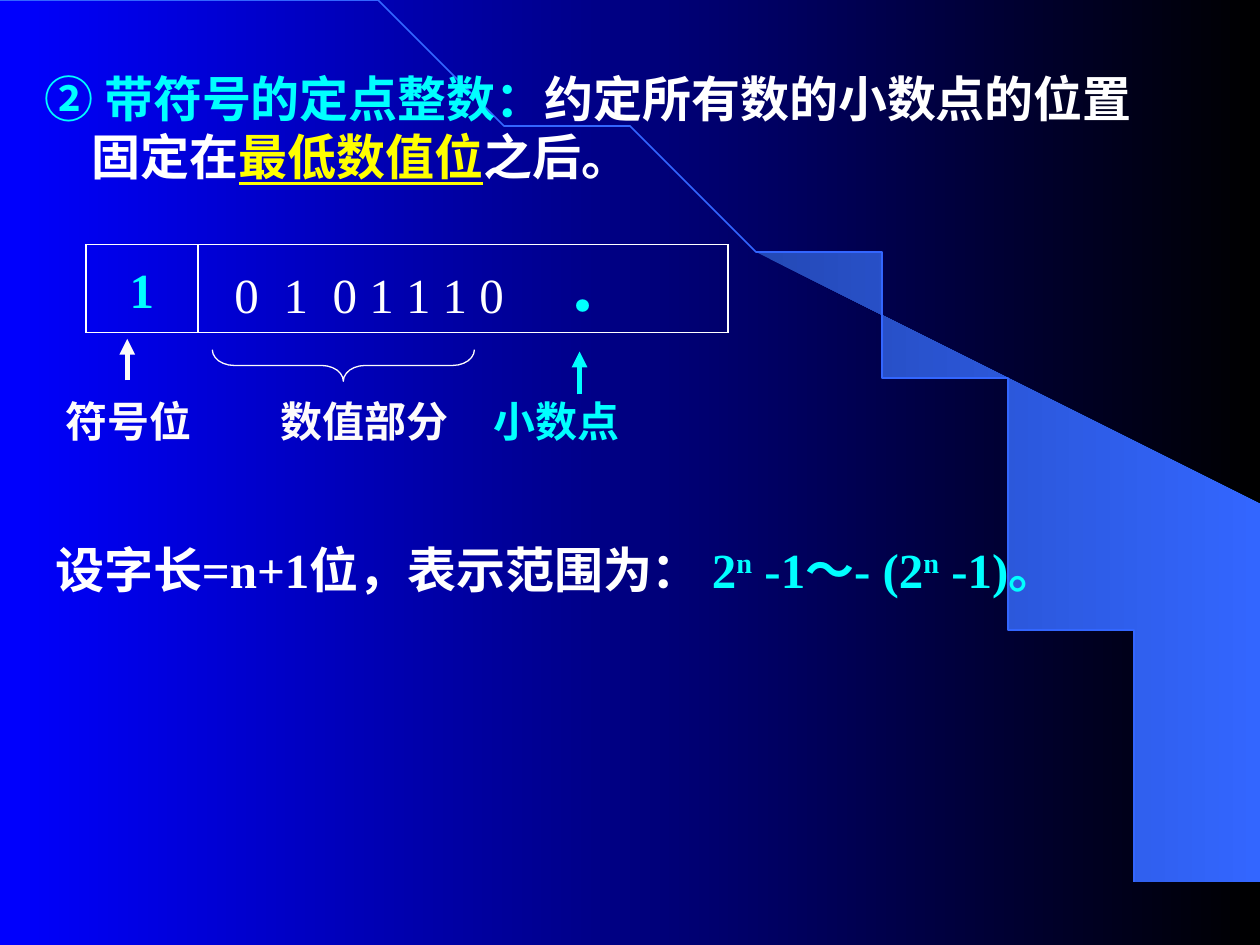
from dataclasses import dataclass
from math import asin, cos, pi, sin

from lxml.etree import SubElement
from pptx import Presentation
from pptx.dml.color import RGBColor
from pptx.enum.shapes import MSO_CONNECTOR, MSO_SHAPE
from pptx.enum.text import MSO_ANCHOR as Anchor, MSO_AUTO_SIZE, PP_ALIGN as Align
from pptx.oxml.ns import qn
from pptx.util import Inches, Pt

COLORS = {
    "blue": "0000FF", "black": "000000", "deep": "2449B6", "arc": "3366FF",
    "white": "FFFFFF", "soft": "FDFBFB", "cyan": "00FFFF", "yellow": "FFFF00",
}
FONT = "Times New Roman"
ARC_WIDTH, ARC_HEIGHT = 9.2, 7.49
SIGN_LEFT, VALUE_LEFT, REGISTER_RIGHT = 0.68, 1.57, 5.78
REGISTER_TOP, REGISTER_BOTTOM = 1.94, 2.64


@dataclass
class Span:
    text: str
    color: str
    size: float = 28
    bold: bool = True
    underline: bool = False
    baseline: int = 0


@dataclass
class Caption:
    box: tuple
    spans: list
    align: Align = Align.CENTER
    anchor: Anchor = Anchor.TOP
    inset: tuple = (0, 0.01)
    tabs: tuple = ()


@dataclass
class Line:
    start: tuple
    end: tuple
    color: str = "white"
    width: float = 1
    arrow: bool = False


def rgb(name: str) -> RGBColor:
    return RGBColor.from_string(COLORS[name])


def set_format(target, values: dict) -> None:
    for name, value in values.items():
        setattr(target, name, value)


def fill_gradient(fill, names: tuple) -> None:
    fill.gradient()
    fill.gradient_angle = 0
    for stop, name, position in zip(fill.gradient_stops, names, (0, 1)):
        stop.color.rgb = rgb(name)
        stop.position = position


def arc_points(start: float, steps: int) -> list:
    angles = [start + (pi / 2 - start) * i / steps for i in range(steps + 1)]
    return [(ARC_WIDTH * sin(a), ARC_HEIGHT * (1 - cos(a))) for a in angles]


def draw_outline(slide, points: list, close: bool):
    builder = slide.shapes.build_freeform(*points[0], scale=Inches(1))
    builder.add_line_segments(points[1:], close=close)
    outline = builder.convert_to_shape()
    outline.shadow.inherit = False
    return outline


def write_spans(paragraph, spans: list) -> None:
    for span in spans:
        run = paragraph.add_run()
        run.text = span.text
        set_format(run.font, {"name": FONT, "size": Pt(span.size),
                              "bold": span.bold, "underline": span.underline})
        run.font.color.rgb = rgb(span.color)
        if span.baseline:
            run._r.get_or_add_rPr().set("baseline", str(span.baseline * 1000))


def draw_caption(slide, caption: Caption) -> None:
    frame = slide.shapes.add_textbox(*map(Inches, caption.box)).text_frame
    side, edge = map(Inches, caption.inset)
    set_format(frame, {"word_wrap": True, "vertical_anchor": caption.anchor,
                       "margin_left": side, "margin_right": side,
                       "margin_top": edge, "margin_bottom": edge})
    paragraph = frame.paragraphs[0]
    paragraph.alignment = caption.align
    if caption.tabs:
        tab_list = SubElement(paragraph._p.get_or_add_pPr(), qn("a:tabLst"))
        for position in caption.tabs:
            SubElement(tab_list, qn("a:tab"), pos=str(Inches(position)), algn="l")
    write_spans(paragraph, caption.spans)


def draw_line(slide, line: Line) -> None:
    connector = slide.shapes.add_connector(
        MSO_CONNECTOR.STRAIGHT, *map(Inches, line.start + line.end))
    connector.line.color.rgb = rgb(line.color)
    connector.line.width = Pt(line.width)
    if line.arrow:
        SubElement(connector.line._get_or_add_ln(), qn("a:tailEnd"), type="triangle")
    SubElement(connector._element.spPr, qn("a:effectLst"))


def draw_backdrop(slide) -> None:
    fill_gradient(slide.background.fill, ("blue", "black"))
    beam_edge = arc_points(asin(5.89 / ARC_WIDTH), 24)
    beam = draw_outline(slide, beam_edge + [(9.99, 7.49), (9.99, 4.23)], True)
    fill_gradient(beam.fill, ("deep", "arc"))
    beam.line.fill.background()
    arc = draw_outline(slide, arc_points(0, 60), False)
    arc.fill.background()
    arc.line.color.rgb = rgb("arc")
    arc.line.width = Pt(1)


def write_body(slide, paragraphs: list) -> None:
    body = slide.placeholders[1]
    slide.shapes._spTree.append(body._element)
    set_format(body, {"left": Inches(0.25), "top": Inches(0.49),
                      "width": Inches(9.08), "height": Inches(4.6)})
    frame = body.text_frame
    set_format(frame, {"word_wrap": True, "auto_size": MSO_AUTO_SIZE.NONE,
                       "vertical_anchor": Anchor.TOP})
    for index, (space_before, spans) in enumerate(paragraphs):
        paragraph = frame.add_paragraph() if index else frame.paragraphs[0]
        paragraph.space_before = Pt(space_before)
        properties = paragraph._p.get_or_add_pPr()
        properties.set("marL", str(Inches(0.38)))
        properties.set("indent", str(-Inches(0.38)))
        SubElement(properties, qn("a:buNone"))
        write_spans(paragraph, spans)


def draw_brace(slide) -> None:
    brace = slide.shapes.add_shape(
        MSO_SHAPE.LEFT_BRACE, *map(Inches, (2.6, 1.86, 0.25, 2.08)))
    brace.rotation = 270
    brace.adjustments[0] = 0.69
    brace.shadow.inherit = False
    brace.fill.background()
    brace.line.color.rgb = rgb("soft")
    brace.line.width = Pt(0.75)


BODY = [
    (5.6, [Span("② 带符号的定点整数：", "cyan"),
           Span("约定所有数的小数点的位置固定在", "white"),
           Span("最低数值位", "yellow", underline=True),
           Span("之后。", "white")]),
    (202, [Span(" 设字长=n+1位，表示范围为： ", "white"),
           Span("2", "cyan"), Span("n", "cyan", baseline=30),
           Span(" -1～- (2", "cyan"), Span("n", "cyan", baseline=30),
           Span(" -1)。", "cyan")]),
]
REGISTER_HEIGHT = REGISTER_BOTTOM - REGISTER_TOP
CAPTIONS = [
    Caption((VALUE_LEFT, REGISTER_TOP, REGISTER_RIGHT - VALUE_LEFT, REGISTER_HEIGHT),
            [Span("0\t1\t0 1 1 1 0\t", "white", bold=False), Span("．", "cyan", 36)],
            Align.LEFT, Anchor.MIDDLE, (0.29, 0.05), (0.39, 0.78, 2.63)),
    Caption((SIGN_LEFT, REGISTER_TOP, VALUE_LEFT - SIGN_LEFT, REGISTER_HEIGHT),
            [Span("1", "cyan")], anchor=Anchor.MIDDLE, inset=(0.1, 0.05)),
    Caption((2.04, 3.13, 1.7, 0.71), [Span("数值部分", "soft", 24)], inset=(0.06, 0.01)),
    Caption((0.51, 3.13, 1.02, 0.71), [Span("符号位", "soft", 24)]),
    Caption((3.91, 3.13, 1.02, 0.56), [Span("小数点", "cyan", 24)]),
]
LINES = [
    *(Line((x, REGISTER_TOP), (x, REGISTER_BOTTOM))
      for x in (SIGN_LEFT, VALUE_LEFT, REGISTER_RIGHT)),
    *(Line((SIGN_LEFT, y), (REGISTER_RIGHT, y))
      for y in (REGISTER_TOP, REGISTER_BOTTOM)),
    Line((1.01, 3.02), (1.01, 2.69), "soft", 3, True),
    Line((4.6, 3.13), (4.6, 2.79), "cyan", 3, True),
]


def main() -> None:
    deck = Presentation()
    deck.slide_width, deck.slide_height = Inches(10), Inches(7.5)
    slide = deck.slides.add_slide(deck.slide_layouts[1])
    heading = slide.shapes.title._element
    heading.getparent().remove(heading)
    draw_backdrop(slide)
    write_body(slide, BODY)
    for caption in CAPTIONS:
        draw_caption(slide, caption)
    draw_brace(slide)
    for line in LINES:
        draw_line(slide, line)
    deck.save("out.pptx")


if __name__ == "__main__":
    main()
